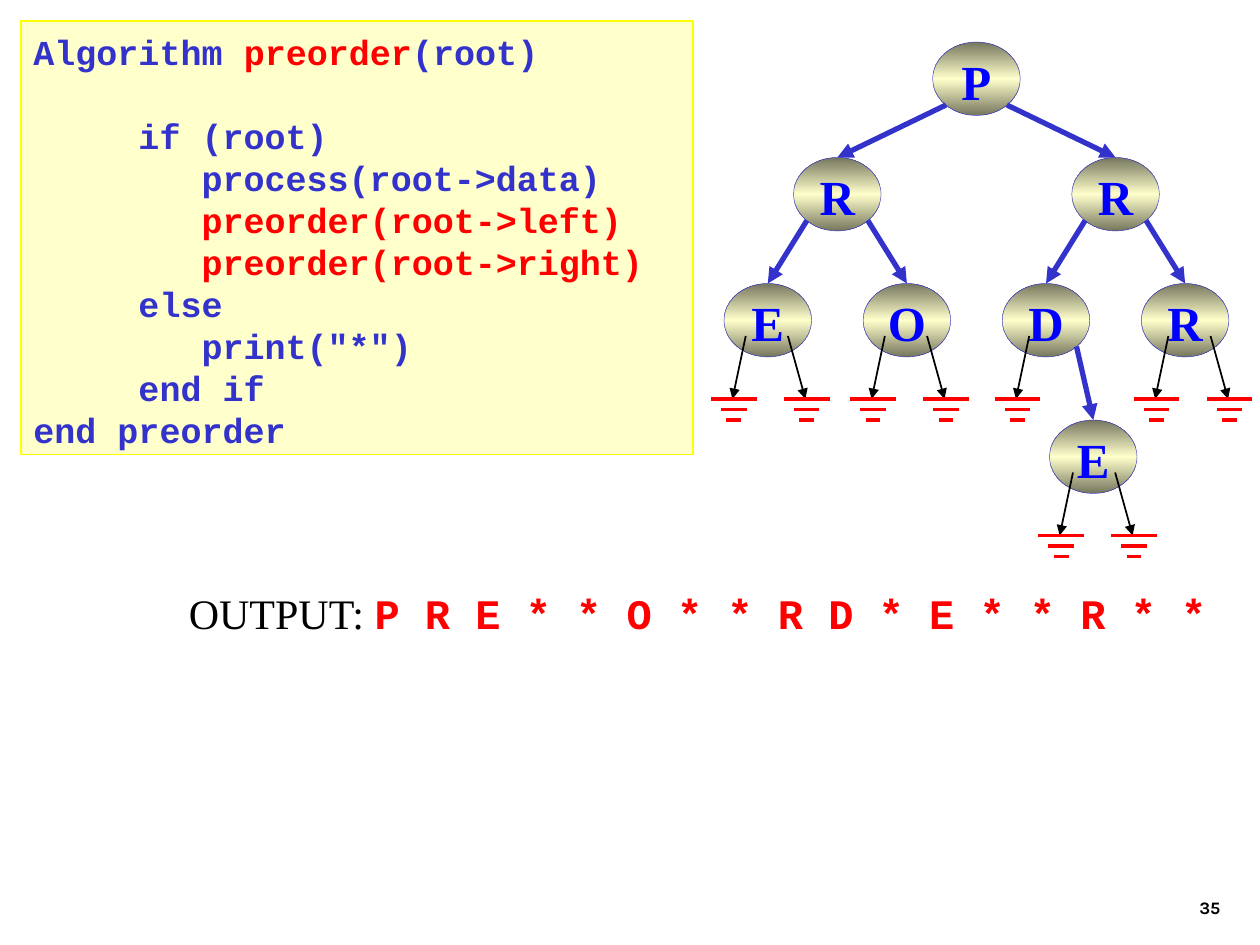
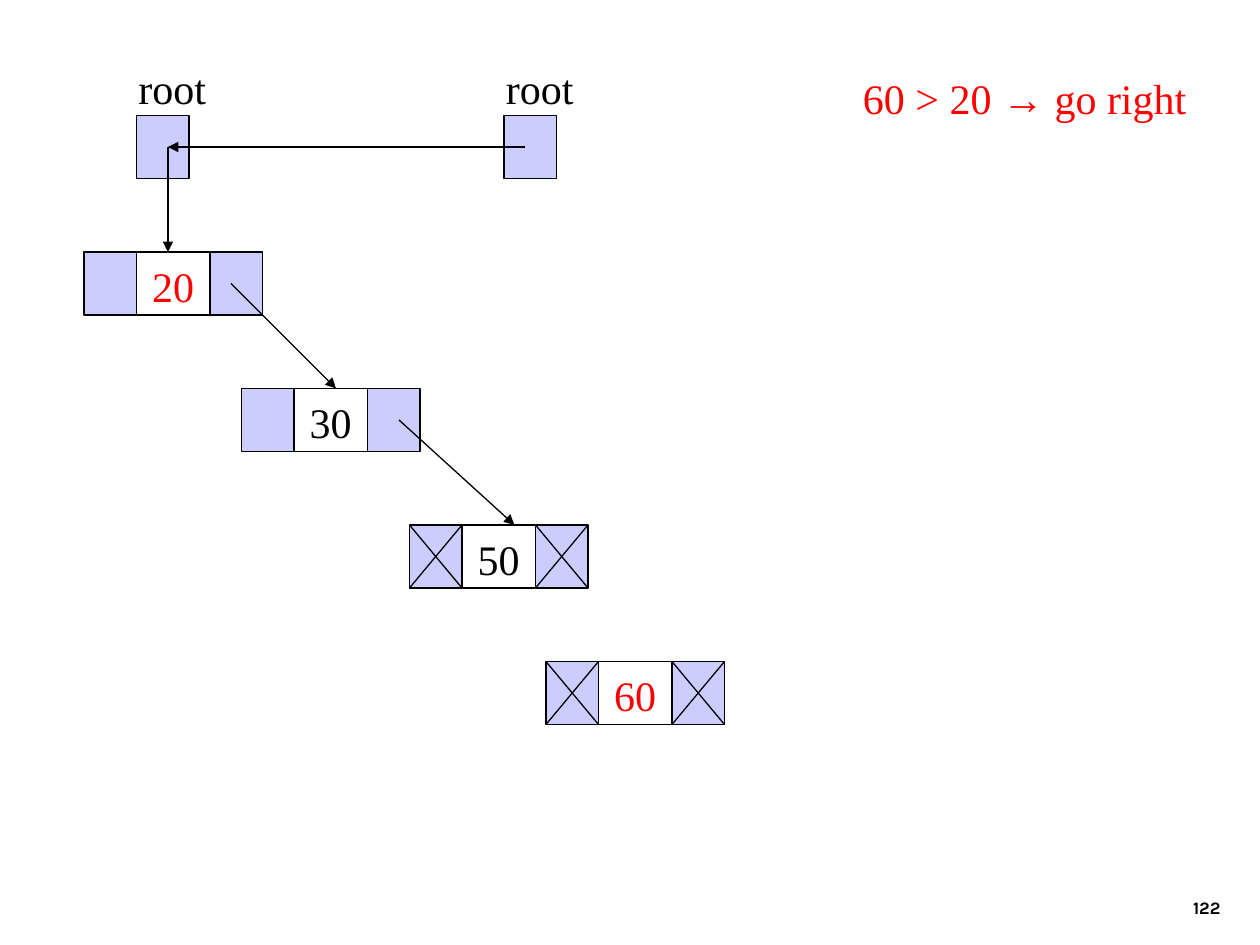
from copy import deepcopy
from dataclasses import dataclass

from lxml import etree
from pptx import Presentation
from pptx import util as u
from pptx.dml.color import RGBColor
from pptx.enum import shapes, text
from pptx.oxml import ns

Pt = u.Pt


@dataclass(frozen=True)
class Theme:
    serif: str = "Times New Roman"
    mono: str = "Courier New"
    arrow: str = "Arial"
    footer: str = "Karla"
    black: str = "000000"
    white: str = "FFFFFF"
    red: str = "FF0000"
    blue: str = "0000FF"
    indigo: str = "3333CC"
    lilac: str = "CCCCFF"
    cream: str = "FFFFCC"
    yellow: str = "FFFF00"
    olive: str = "76765E"
    footer_size: int = 10
    code_size: int = 20
    body_size: int = 24
    node_size: int = 28
    top_inset: float = 5.6


NODE_W, NODE_H = 50, 42
POINTER_W, VALUE_W, CELL_H = 30, 42, 36

# label, x offset from parent, top, shift of the null links, left child, right child
TREE = ("P", 558, 24, 0,
        ("R", -79.5, 90, 0,
         ("E", -39.75, 162, 0, None, None),
         ("O", 39.75, 162, 0, None, None)),
        ("R", 79.5, 90, 0,
         ("D", -39.75, 162, 3, None,
          ("E", 27, 240, 1, None, None)),
         ("R", 39.75, 162, 3, None, None)))

CODE = """\
     if (root)
        process(root->data)
        preorder(root->left)
        preorder(root->right)
     else
        print("*")
     end if
end preorder""".splitlines()


class Deck:
    """Holds the theme and the slide being drawn."""

    def __init__(self, theme):
        self.t = theme
        self.prs = Presentation()
        self.prs.slide_width, self.prs.slide_height = Pt(720), Pt(540)
        self.s = None

    def new_slide(self, number):
        self.s = self.prs.slides.add_slide(self.prs.slide_layouts[6])
        sp = self.textbox(554.4, 492, 150, 36, [(number, self.t.black)],
                          self.t.footer, self.t.footer_size, bold=True)
        sp.text_frame.vertical_anchor = text.MSO_ANCHOR.BOTTOM
        sp.text_frame.paragraphs[0].alignment = text.PP_ALIGN.RIGHT

    def add_runs(self, p, runs, font, size, bold=False):
        """Fill a paragraph with (text, colour[, font]) runs."""
        p.font.size, p.font.bold, p.font.name = Pt(size), bold, font
        for words, color, *other_font in runs:
            r = p.add_run()
            r.text = words
            r.font.size, r.font.bold = Pt(size), bold
            r.font.name = other_font[0] if other_font else font
            r.font.color.rgb = RGBColor.from_string(color)

    def textbox(self, x, y, w, h, runs, font, size, bold=False):
        sp = self.s.shapes.add_textbox(Pt(x), Pt(y), Pt(w), Pt(h))
        tf = sp.text_frame
        tf.word_wrap = True
        tf.margin_top = Pt(self.t.top_inset)
        self.add_runs(tf.paragraphs[0], runs, font, size, bold)
        return sp

    def shape(self, kind, x, y, w, h, fill, line, weight=0.75):
        sp = self.s.shapes.add_shape(kind, Pt(x), Pt(y), Pt(w), Pt(h))
        sp.shadow.inherit = False
        sp.fill.solid()
        sp.fill.fore_color.rgb = RGBColor.from_string(fill)
        sp.line.color.rgb = RGBColor.from_string(line)
        sp.line.width = Pt(weight)
        sp.text_frame.margin_top = Pt(self.t.top_inset)
        return sp

    def box(self, x, y, w, h, fill, line):
        return self.shape(shapes.MSO_SHAPE.RECTANGLE, x, y, w, h, fill, line)

    def label(self, sp, words, color, size, bold=False):
        """Centre one line of serif text in a shape."""
        tf = sp.text_frame
        tf.word_wrap = False
        tf.vertical_anchor = text.MSO_ANCHOR.MIDDLE
        p = tf.paragraphs[0]
        p.alignment = text.PP_ALIGN.CENTER
        self.add_runs(p, [(words, color)], self.t.serif, size, bold)

    def line(self, x1, y1, x2, y2, color, weight, arrow=False):
        c = self.s.shapes.add_connector(shapes.MSO_CONNECTOR.STRAIGHT,
                                        Pt(x1), Pt(y1), Pt(x2), Pt(y2))
        c.line.color.rgb = RGBColor.from_string(color)
        c.line.width = Pt(weight)
        sp_pr = c._element.spPr
        if arrow:
            etree.SubElement(sp_pr.find(ns.qn("a:ln")), ns.qn("a:tailEnd"),
                             type="triangle")
        etree.SubElement(sp_pr, ns.qn("a:effectLst"))

    def code_box(self, x, y, w, h, heading, lines):
        t = self.t
        sp = self.box(x, y, w, h, t.cream, t.yellow)
        tf = sp.text_frame
        tf.word_wrap = True
        tf.vertical_anchor = text.MSO_ANCHOR.TOP
        for i, runs in enumerate([heading, *lines]):
            p = tf.add_paragraph() if i else tf.paragraphs[0]
            p.alignment = text.PP_ALIGN.LEFT
            p.line_spacing = Pt(24)
            if i == 1:
                p.space_before = Pt(24)
            self.add_runs(p, runs, t.mono, t.code_size, bold=True)

    def oval(self, cx, top, words):
        """Draw a tree node shaded dark, light, dark from top to bottom."""
        t = self.t
        sp = self.shape(shapes.MSO_SHAPE.OVAL, cx - NODE_W / 2, top,
                        NODE_W, NODE_H, t.cream, t.indigo, 0.25)
        sp.fill.gradient()
        sp.fill.gradient_angle = 90
        gs_list = sp._element.spPr.find(".//" + ns.qn("a:gsLst"))
        gs_list.insert(1, deepcopy(gs_list[0]))
        stops = zip(sp.fill.gradient_stops, (0, 0.5, 1), (t.olive, t.cream, t.olive))
        for stop, position, color in stops:
            stop.position = position
            stop.color.rgb = RGBColor.from_string(color)
        self.label(sp, words, t.blue, t.node_size, bold=True)

    def null_link(self, start, tip, ground, y):
        """Draw a thin arrow ending on a ground symbol."""
        self.line(start, y, tip, y + 36, self.t.black, 1, arrow=True)
        for i, width in enumerate((26, 14.5, 8.5)):
            bar_y = y + 36 + 6 * i
            self.line(ground - width / 2, bar_y, ground + width / 2, bar_y,
                      self.t.red, 2)

    def tree(self, node, parent_x=0):
        words, dx, top, shift, left, right = node
        cx = parent_x + dx
        self.oval(cx, top, words)
        left_null, right_null = (-12.6, -20.2, -19.4), (11.5, 21.5, 22.3)
        for side, child, null in ((-1, left, left_null), (1, right, right_null)):
            if child:
                self.line(cx + side * 17.4, top + 36, cx + child[1], child[2],
                          self.t.indigo, 3, arrow=True)
                self.tree(child, cx)
            else:
                self.null_link(*(cx + shift + d for d in null), top + 30)

    def pointer(self, x, y, null=False):
        t = self.t
        self.box(x, y, POINTER_W, CELL_H, t.lilac, t.black)
        if null:
            for x1, x2 in ((x, x + POINTER_W), (x + POINTER_W, x)):
                self.line(x1, y, x2, y + CELL_H, t.black, 0.75)

    def list_node(self, x, y, value, color, null):
        t = self.t
        self.pointer(x, y, null)
        self.pointer(x + POINTER_W + VALUE_W, y, null)
        sp = self.box(x + POINTER_W, y, VALUE_W, CELL_H, t.white, t.black)
        self.label(sp, value, color, t.body_size)

    def root_pointer(self, x):
        t = self.t
        self.pointer(x, 66)
        self.textbox(x - 6, 30, 60, 36, [("root", t.black)], t.serif, t.body_size)


def traversal_slide(d):
    t = d.t
    d.new_slide("35")
    output = d.textbox(100.8, 330, 611, 36,
                       [("OUTPUT: ", t.black, t.serif),
                        ("P R E * * O * * R D * E * * R * *", t.red)],
                       t.mono, t.body_size)
    output.text_frame.paragraphs[0].runs[1].font.bold = True
    d.tree(TREE)
    heading = [("Algorithm ", t.indigo), ("preorder", t.red), ("(root)", t.indigo)]
    lines = [[(code, t.red if "preorder(" in code else t.indigo)] for code in CODE]
    d.code_box(12, 12, 384, 247.7, heading, lines)


def insertion_slide(d):
    t = d.t
    d.new_slide("122")
    nodes = ((48, "20", t.red, False), (138, "30", t.black, False),
             (234, "50", t.black, True), (312, "60", t.red, True))
    for i, (x, value, color, null) in enumerate(nodes):
        d.list_node(x, 144 + 78 * i, value, color, null)
    for x in (78, 288):
        d.root_pointer(x)
    d.textbox(486, 36, 210, 36,
              [("60 > 20 ", t.red), ("→", t.red, t.arrow), (" go right", t.red)],
              t.serif, t.body_size)
    links = ((300, 84, 96, 84), (96, 84, 96, 144),
             (132, 162, 192, 222), (228, 240, 294, 300))
    for link in links:
        d.line(*link, t.black, 0.75, arrow=True)


def main():
    d = Deck(Theme())
    traversal_slide(d)
    insertion_slide(d)
    d.prs.save("out.pptx")


if __name__ == "__main__":
    main()
